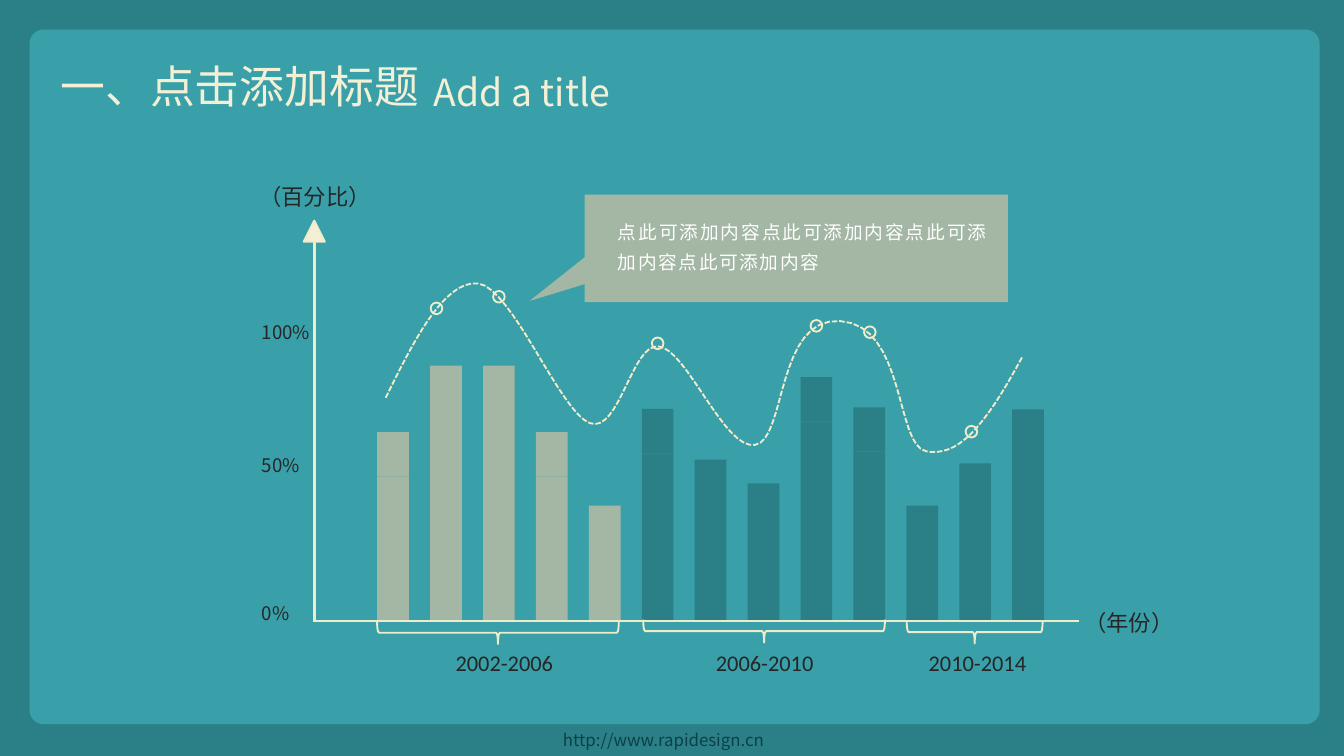
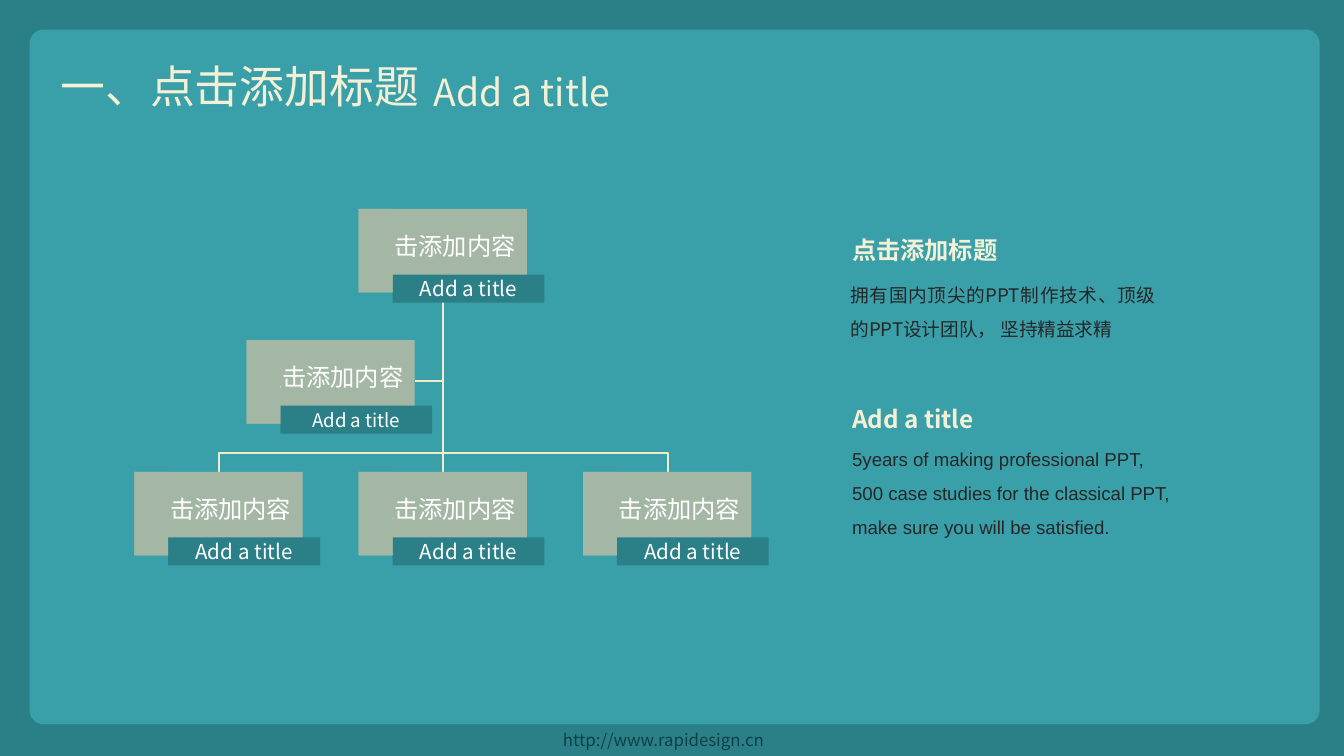
from dataclasses import dataclass
from itertools import pairwise

from lxml import etree
from pptx import Presentation
from pptx import util as u
from pptx.dml.color import RGBColor
from pptx.enum import dml, shapes, text
from pptx.oxml import ns

Kind = shapes.MSO_SHAPE
Align = text.PP_ALIGN
Anchor = text.MSO_ANCHOR
Fit = text.MSO_AUTO_SIZE


@dataclass(frozen=True)
class Theme:
    deep: str = "2B8088"
    panel: str = "39A0AA"
    sage: str = "A3B7A4"
    cream: str = "F4F0D6"
    line: str = "F0EBCA"
    ink: str = "262626"
    foot: str = "0C4046"
    white: str = "FFFFFF"
    sans: str = "Noto Sans CJK SC"
    year: str = "Calibri"
    plain: str = "Arial"
    title: int = 24
    sub: int = 20
    head: int = 13
    label: int = 12
    tag: int = 11
    body: int = 10
    small: int = 9


class Deck:
    def __init__(self, theme):
        self.theme = theme
        self.prs = Presentation()
        self.prs.slide_width = u.Cm(25.4)
        self.prs.slide_height = u.Cm(14.29)
        self.slide = None

    def page(self, layout, title, sub, foot):
        t = self.theme
        self.slide = self.prs.slides.add_slide(self.prs.slide_layouts[layout])
        holders = list(self.slide.placeholders)
        self.shape(Kind.RECTANGLE, (0, 0, 25.4, 14.29), t.deep)
        self.shape(Kind.ROUNDED_RECTANGLE, (0.56, 0.56, 24.38, 13.13), t.panel, adj=[0.02])
        for holder in holders:
            self.slide.shapes._spTree.append(holder._element)
        self.fill(0, (0.89, 0.99, 11.53, 1.27), title, t.title, t.cream)
        self.note((7.95, 1.19, 11.81, 1.12), sub, t.sub, t.cream, align=Align.JUSTIFY)
        self.note((10.39, 13.67, 4.65, 0.62), foot, t.small, t.foot, align=Align.JUSTIFY)

    def letter(self, frame, words, size, color, font=None, align=Align.LEFT,
               bold=False, lead=None, track=None, plain=False):
        para = frame.paragraphs[0]
        if plain:
            props = para._p.get_or_add_pPr()
            props.set("marL", "0")
            props.set("indent", "0")
            etree.SubElement(props, ns.qn("a:buNone"))
        para.alignment = align
        para.space_before = u.Pt(0)
        if lead:
            para.line_spacing = lead
        run = para.add_run()
        run.text = words
        run.font.size = u.Pt(size)
        run.font.bold = bold
        run.font.color.rgb = RGBColor.from_string(color)
        run.font.name = font or self.theme.sans
        props = run._r.get_or_add_rPr()
        etree.SubElement(props, ns.qn("a:ea")).set("typeface", run.font.name)
        if track:
            props.set("spc", str(track))

    def note(self, box, words, size, color, wrap=True, **style):
        item = self.slide.shapes.add_textbox(*map(u.Cm, box))
        item.text_frame.word_wrap = wrap
        item.text_frame.auto_size = Fit.SHAPE_TO_FIT_TEXT
        self.letter(item.text_frame, words, size, color, **style)

    def fill(self, idx, box, words, size, color, align=Align.JUSTIFY, **style):
        item = self.slide.placeholders[idx]
        item.left, item.top, item.width, item.height = map(u.Cm, box)
        frame = item.text_frame
        frame.auto_size = Fit.NONE
        frame.word_wrap = True
        frame.vertical_anchor = Anchor.TOP
        self.letter(frame, words, size, color, align=align, plain=True, **style)

    def paint(self, item, fill=None, line=None, width=1):
        item.shadow.inherit = False
        if fill:
            item.fill.solid()
            item.fill.fore_color.rgb = RGBColor.from_string(fill)
        else:
            item.fill.background()
        if line:
            item.line.color.rgb = RGBColor.from_string(line)
            item.line.width = u.Pt(width)
        else:
            item.line.fill.background()

    def shape(self, kind, box, fill=None, line=None, adj=(), turn=0):
        item = self.slide.shapes.add_shape(kind, *map(u.Cm, box))
        self.paint(item, fill, line)
        for spot, value in enumerate(adj):
            item.adjustments[spot] = value
        item.rotation = turn
        return item

    def block(self, box, fill, words, size, pads):
        item = self.shape(Kind.RECTANGLE, box, fill)
        frame = item.text_frame
        frame.word_wrap = True
        frame.vertical_anchor = Anchor.MIDDLE
        (frame.margin_left, frame.margin_top,
         frame.margin_right, frame.margin_bottom) = map(u.Cm, pads)
        self.letter(frame, words, size, self.theme.white, align=Align.CENTER)

    def rule(self, start, end, width=1.0):
        item = self.slide.shapes.add_connector(
            shapes.MSO_CONNECTOR.STRAIGHT, *map(u.Cm, start + end))
        item.line.color.rgb = RGBColor.from_string(self.theme.line)
        item.line.width = u.Pt(width)
        etree.SubElement(item._element.spPr, ns.qn("a:effectLst"))

    def trace(self, points, dash=None):
        first, *rest = [tuple(map(u.Cm, point)) for point in points]
        pen = self.slide.shapes.build_freeform(*first)
        pen.add_line_segments(rest, close=False)
        item = pen.convert_to_shape()
        self.paint(item, line=self.theme.line)
        if dash:
            item.line.dash_style = dash

    def brace(self, mid, level, span):
        thick = 0.43
        box = (mid - thick / 2, level - span / 2, thick, span)
        self.shape(Kind.RIGHT_BRACE, box, line=self.theme.line, adj=(0.08, 0.5), turn=90)

    def node(self, left, top, size):
        t = self.theme
        self.block((left, top, 3.18, 1.58), t.sage, "点击添加内容", t.head,
                   (0.03, 0.03, 0.03, 0.23))
        self.block((left + 0.64, top + 1.24, 2.87, 0.53), t.deep, "Add a title", size,
                   (0.08, 0.03, 0.08, 0.03))
        self.shape(Kind.RECTANGLE, (left, top, 0.64, 1.58), t.sage)


def bend(knots, steps=16):
    points = [knots[0]]
    for i in range(0, len(knots) - 1, 3):
        a, b, c, d = knots[i:i + 4]
        for step in range(1, steps + 1):
            k = step / steps
            j = 1 - k
            points.append(tuple(
                j**3 * p + 3 * j * j * k * q + 3 * j * k * k * r + k**3 * s
                for p, q, r, s in zip(a, b, c, d)))
    return points


def trend(deck):
    t = deck.theme
    base, cap = 11.74, 0.84
    deck.rule((5.94, 4.55), (5.94, base), 1.5)
    deck.shape(Kind.ISOSCELES_TRIANGLE, (5.74, 4.17, 0.4, 0.4), t.cream, t.line)

    tops = (8.17, 6.91, 6.91, 8.17, 9.56, 7.73, 8.69, 9.14, 7.13, 7.7, 9.56, 8.76, 7.74)
    for i, top in enumerate(tops):
        color = t.sage if i < 5 else t.deep
        for start, end in pairwise((top, top + cap, base)):
            deck.shape(Kind.RECTANGLE, (7.13 + i, start, 0.6, end - start), color)

    spans = ((9.41, 11.96, 4.57, 8.36, "2002-2006"),
             (14.44, 11.93, 4.57, 13.28, "2006-2010"),
             (18.42, 11.95, 2.57, 17.3, "2010-2014"))
    for mid, level, span, left, words in spans:
        deck.brace(mid, level, span)
        deck.note((left, 12.14, 2.39, 0.76), words, t.label, t.ink, wrap=False, font=t.year)
    for top, wide, words in ((8.46, 1.25, "50%"), (5.94, 1.45, "100%"), (11.25, 1.04, "0%")):
        deck.note((4.7, top, wide, 0.69), words, t.body, t.ink, wrap=False)
    for left, top, words in ((20.24, 11.23, "（年份）"), (4.65, 3.18, "（百分比）")):
        deck.note((left, top, 2.64, 0.86), words, t.label, t.ink, lead=1.3)

    knots = ((7.29, 7.52), (7.77, 6.55), (8.38, 5.28), (9.04, 5.36),
             (9.68, 5.44), (10.59, 7.8), (11.15, 8), (11.71, 8.2),
             (11.94, 6.48), (12.45, 6.55), (12.98, 6.6), (13.69, 8.51),
             (14.27, 8.41), (14.86, 8.33), (14.66, 5.99), (15.88, 6.07),
             (17.12, 6.15), (16.92, 8.41), (17.5, 8.53), (18.08, 8.64),
             (18.57, 8.15), (19.33, 6.73))
    deck.trace(bend(knots), dml.MSO_LINE.SQUARE_DOT)
    dots = ((9.32, 5.5), (8.14, 5.72), (12.32, 6.38),
            (15.32, 6.05), (16.33, 6.17), (18.25, 8.05))
    for left, top in dots:
        deck.shape(Kind.OVAL, (left, top, 0.22, 0.22), line=t.line)

    deck.shape(Kind.RECTANGULAR_CALLOUT, (11.05, 3.68, 8, 2.03), t.sage, adj=(-0.63, 0.49))
    deck.note((11.43, 3.91, 7.49, 1.4),
              "点此可添加内容点此可添加内容点此可添加内容点此可添加内容",
              t.body, t.white, align=Align.JUSTIFY, lead=u.Pt(16), track=90)
    deck.rule((5.92, base), (20.4, base), 1.5)


def tree(deck):
    t = deck.theme
    trunk, root, fork, row, step = 8.38, 5.54, 8.56, 8.92, 4.24
    for x in (trunk - step, trunk + step):
        deck.trace(((trunk, root), (trunk, fork), (x, fork), (x, row)))
    deck.rule((trunk, root), (trunk, row))
    deck.trace(((trunk, root), (trunk, 7.21), (7.85, 7.21)))

    deck.node(6.78, 3.95, t.tag)
    for i in range(3):
        deck.node(2.54 + i * step, row, t.tag)
    deck.node(4.66, 6.43, t.body)

    deck.fill(1, (15.85, 4.04, 3.45, 1.09), "点击添加标题", t.head, t.cream,
              bold=True, lead=1.5)
    deck.fill(2, (15.82, 5.03, 6.27, 1.47),
              "拥有国内顶尖的PPT制作技术、顶级的PPT设计团队， 坚持精益求精",
              t.body, t.ink, lead=1.5)
    deck.fill(3, (15.85, 7.24, 3, 0.99), "Add a title", t.head, t.cream,
              bold=True, lead=1.5)
    deck.fill(4, (15.85, 8.13, 6.6, 2.18),
              "5years of making professional PPT, 500 case studies for the classical PPT, "
              "make sure you will be satisfied.",
              t.body, t.ink, align=Align.LEFT, font=t.plain, lead=1.5)


def main():
    deck = Deck(Theme())
    for layout, draw in ((5, trend), (4, tree)):
        deck.page(layout, "一、点击添加标题", "Add a title", "http://www.rapidesign.cn")
        draw(deck)
    deck.prs.save("out.pptx")


if __name__ == "__main__":
    main()
